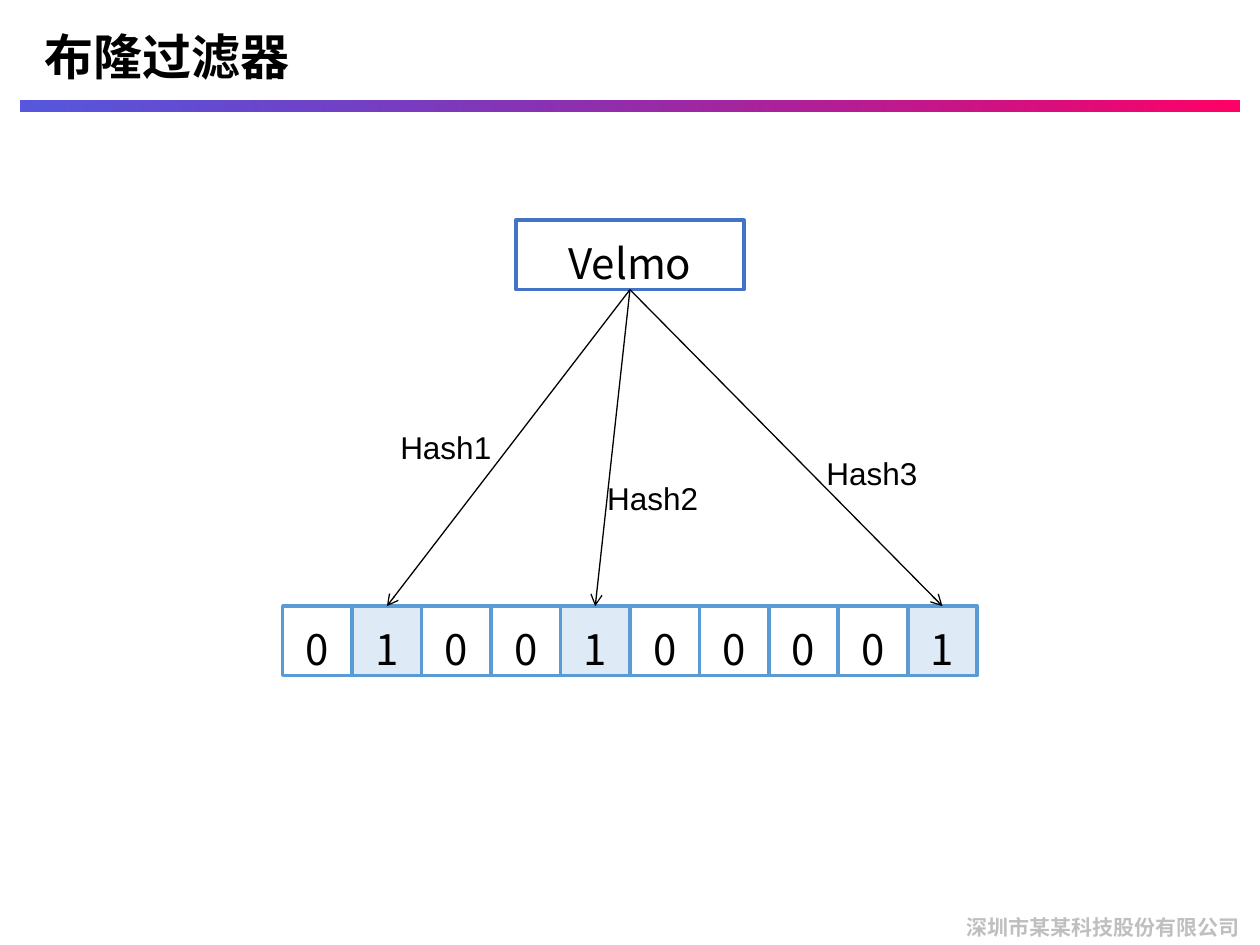
from lxml.etree import SubElement
from pptx import Presentation
from pptx.dml.color import RGBColor
from pptx.enum.shapes import MSO_CONNECTOR, MSO_SHAPE
from pptx.enum.text import MSO_ANCHOR, MSO_AUTO_SIZE, PP_ALIGN
from pptx.oxml.ns import qn
from pptx.util import Cm, Pt

COLORS = {
    "text": "000000",
    "footer": "BFBFBF",
    "white": "FFFFFF",
    "set_bit": "DEEBF7",
    "bit_line": "5B9BD5",
    "word_line": "4472C4",
    "bar_start": "0000CC",
    "bar_end": "FF0066",
}
CJK = "Noto Sans CJK SC"
LATIN = "Arial"


def rgb(name):
    return RGBColor.from_string(COLORS[name])


class SlideBuilder:
    def __init__(self, prs):
        self.s = prs.slides.add_slide(prs.slide_layouts[5])

    def run(self, p, text, size, font=CJK, color="text", bold=False):
        r = p.add_run()
        r.text = text
        r.font.size = Pt(size)
        r.font.bold = bold
        r.font.color.rgb = rgb(color)
        r.font.name = font
        SubElement(r._r.get_or_add_rPr(), qn("a:ea"), typeface=font)

    def title(self, text):
        sp = self.s.shapes.title
        sp.left, sp.top, sp.width, sp.height = Cm(0.4), Cm(0), Cm(20.93), Cm(2.24)
        tf = sp.text_frame
        tf.auto_size = MSO_AUTO_SIZE.NONE
        tf.vertical_anchor = MSO_ANCHOR.MIDDLE
        tf.margin_left = Cm(0.5)
        p = tf.paragraphs[0]
        p.alignment = PP_ALIGN.LEFT
        self.run(p, text, 28, bold=True)

    def rect(self, x, y, w, h):
        sp = self.s.shapes.add_shape(MSO_SHAPE.RECTANGLE, Cm(x), Cm(y), Cm(w), Cm(h))
        sp.shadow.inherit = False
        return sp

    def bar(self, x, y, w, h):
        sp = self.rect(x, y, w, h)
        sp.line.fill.background()
        sp.fill.gradient()
        sp.fill.gradient_angle = 0
        start, end = sp.fill.gradient_stops
        start.position, end.position = 0, 1
        start.color.rgb, end.color.rgb = rgb("bar_start"), rgb("bar_end")
        clr = sp._element.spPr.find(".//" + qn("a:srgbClr"))
        SubElement(clr, qn("a:alpha"), val="66000")

    def box(self, text, x, y, w, h, line, fill="white"):
        sp = self.rect(x, y, w, h)
        sp.fill.solid()
        sp.fill.fore_color.rgb = rgb(fill)
        sp.line.color.rgb = rgb(line)
        sp.line.width = Pt(2)
        tf = sp.text_frame
        tf.vertical_anchor = MSO_ANCHOR.MIDDLE
        p = tf.paragraphs[0]
        p.alignment = PP_ALIGN.CENTER
        p.line_spacing = 1.3
        self.run(p, text, 24)
        return sp

    def label(self, text, x, y, w, h, size, **style):
        tf = self.s.shapes.add_textbox(Cm(x), Cm(y), Cm(w), Cm(h)).text_frame
        tf.word_wrap = True
        self.run(tf.paragraphs[0], text, size, **style)

    def arrow(self, source, target):
        cn = self.s.shapes.add_connector(MSO_CONNECTOR.STRAIGHT, 0, 0, 0, 0)
        cn.begin_connect(source, 2)
        cn.end_connect(target, 0)
        cn.line.color.rgb = rgb("text")
        cn.line.width = Pt(0.75)
        SubElement(cn.line._get_or_add_ln(), qn("a:tailEnd"), type="arrow")
        SubElement(cn._element.spPr, qn("a:effectLst"))


def main():
    prs = Presentation()
    prs.slide_width, prs.slide_height = Cm(25.4), Cm(19.05)
    b = SlideBuilder(prs)

    b.bar(0.42, 2.03, 24.56, 0.22)
    b.label("深圳市某某科技股份有限公司", 19.23, 18.31, 6.27, 0.84, 12,
            color="footer", bold=True)
    b.title("布隆过滤器")

    word = b.box("Velmo", 10.4, 4.44, 4.6, 1.4, "word_line")

    bits = "0100100001"
    side = 1.4
    left = (25.4 - side * len(bits)) / 2
    set_cells = []
    for i, bit in sorted(enumerate(bits), key=lambda item: item[1]):
        fill = "set_bit" if bit == "1" else "white"
        cell = b.box(bit, left + i * side, 12.22, side, side, "bit_line", fill)
        if bit == "1":
            set_cells.append(cell)

    label_spots = [(7.82, 8.51), (11.99, 9.53), (16.41, 9.02)]
    for n, (cell, (x, y)) in enumerate(zip(set_cells, label_spots), 1):
        b.arrow(word, cell)
        b.label(f"Hash{n}", x, y, 2.6, 1.02, 18, font=LATIN)

    prs.save("out.pptx")


if __name__ == "__main__":
    main()
